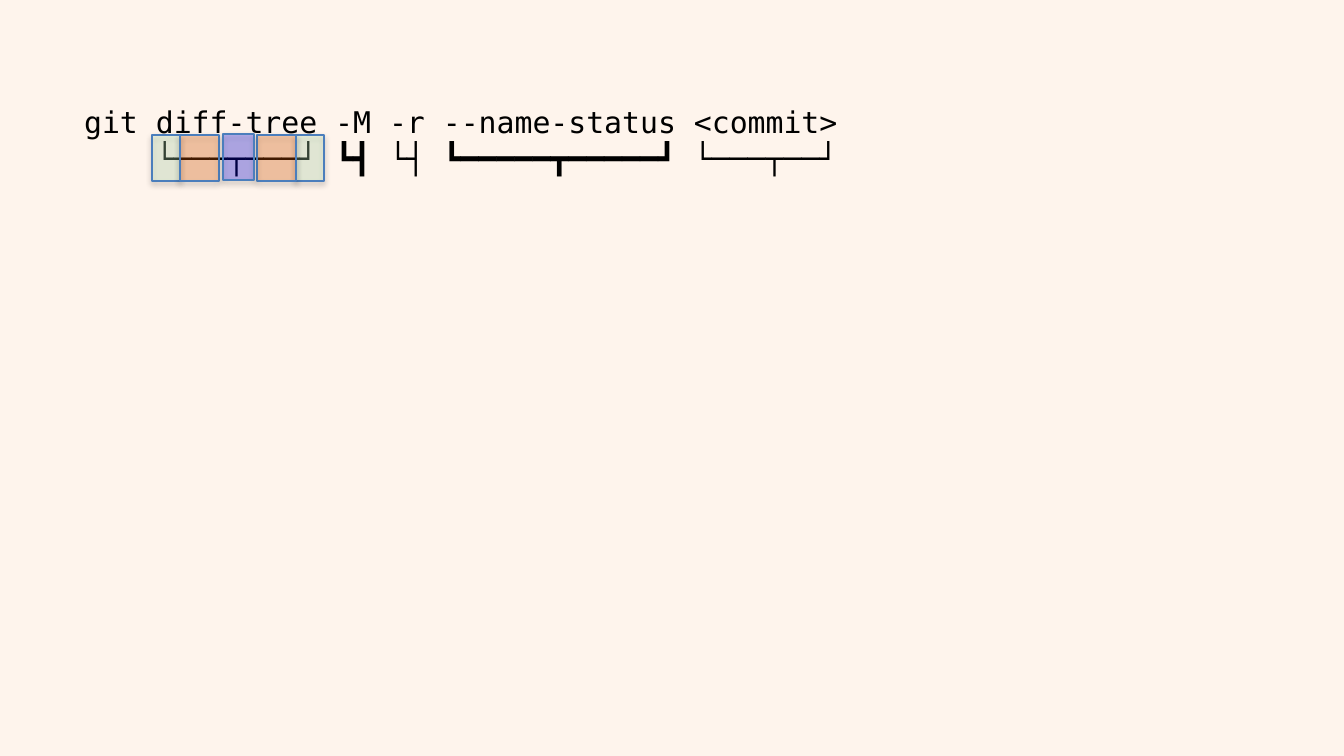
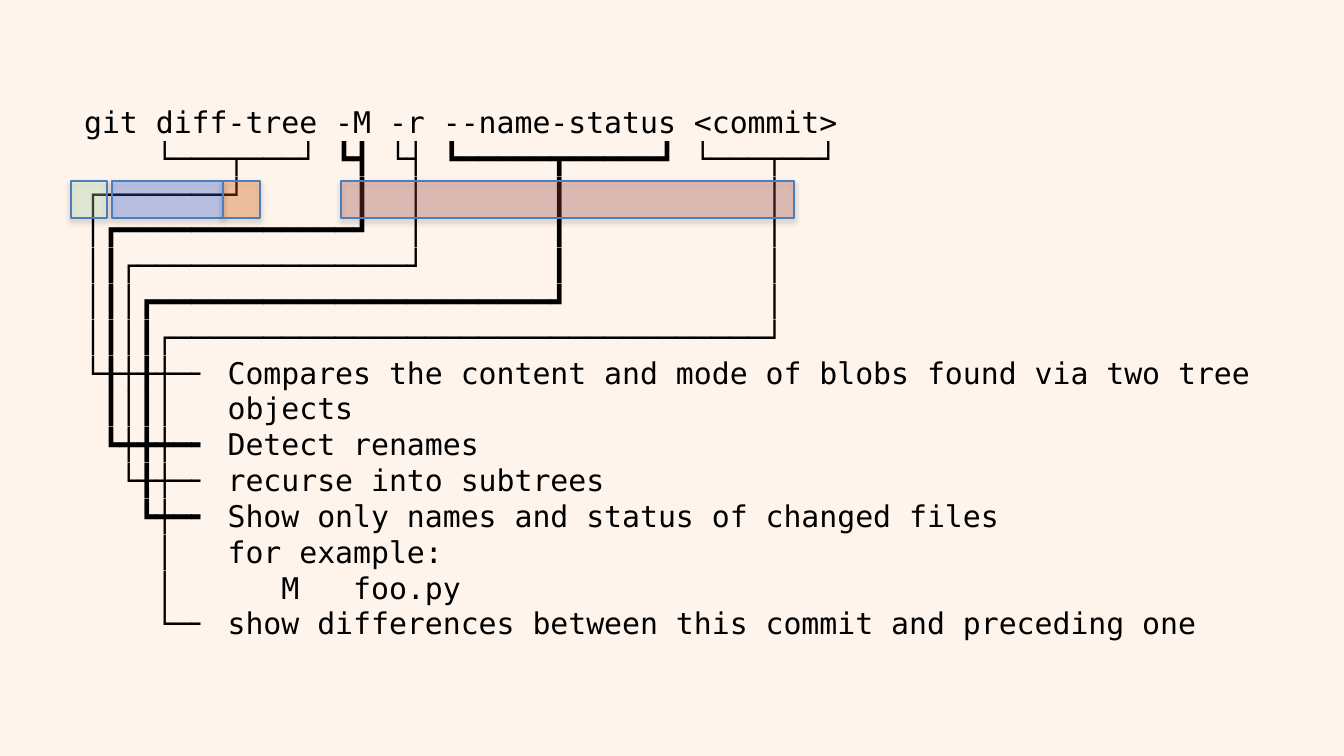
import lxml.etree
import pptx
import pptx.dml.color
import pptx.enum.shapes
import pptx.enum.text
import pptx.oxml.ns
import pptx.util

RGB = pptx.dml.color.RGBColor
CREAM = RGB(0xFE, 0xF4, 0xEC)
BLACK = RGB(0x00, 0x00, 0x00)
EDGE = RGB(0x4B, 0x7E, 0xBC)
GREEN = RGB(0xCC, 0xFF, 0xCC)
ORANGE = RGB(0xFF, 0x66, 0x00)
BLUE = RGB(0x00, 0x00, 0xFF)
SKY = RGB(0x33, 0x66, 0xFF)
RED = RGB(0xC0, 0x50, 0x4D)

FONT = "DejaVu Sans Mono"
SCALE = 9144000 / 1344
LEFT = 71

COMMAND = [
    "git diff-tree -M -r --name-status <commit>",
    "    └───┬───┘ ┗┫ └┤ ┗━━━━━┳━━━━━┛ └───┬──┘",
]
DETAILS = [
    "┌───────┘      ┃  │       ┃           │",
    "│┏━━━━━━━━━━━━━┛  │       ┃           │",
    "│┃┌───────────────┘       ┃           │",
    "│┃│┏━━━━━━━━━━━━━━━━━━━━━━┛           │",
    "│┃│┃┌─────────────────────────────────┘",
    "└╂┼╂┼─╴ Compares the content and mode of blobs found via two tree",
    " ┃│┃│   objects",
    " ┗┿╋┿━╸ Detect renames",
    "  └╂┼─╴ recurse into subtrees",
    "   ┗┿━╸ Show only names and status of changed files",
    "    │   for example:",
    "    │      M   foo.py",
    "    └─╴ show differences between this commit and preceding one",
]
BRACKET = [
    (152, 135, 28, GREEN),
    (296, 135, 28, GREEN),
    (180, 135, 39, ORANGE),
    (257, 135, 39, ORANGE),
    (223, 134, 31, BLUE),
]
BRANCH = [
    (LEFT, 181, 36, GREEN),
    (112, 181, 111, SKY),
    (223, 181, 37, ORANGE),
    (341, 181, 453, RED),
]


def px(count):
    """Turn pixels into EMU."""
    return pptx.util.Emu(round(count * SCALE))


def add_node(parent, tag, **values):
    """Append a drawing element with the given attributes."""
    node = lxml.etree.SubElement(parent, pptx.oxml.ns.qn(tag))
    for name, value in values.items():
        node.set(name, str(value))
    return node


def add_page(deck):
    """Add a blank slide with the cream background."""
    page = deck.slides.add_slide(deck.slide_layouts[6])
    fill = page.background.fill
    fill.solid()
    fill.fore_color.rgb = CREAM
    return page


def add_lines(page, lines, height):
    """Write the command diagram, one paragraph a line."""
    box = page.shapes.add_textbox(px(LEFT), px(97), px(1202), px(height))
    frame = box.text_frame
    frame.word_wrap = True
    frame.auto_size = pptx.enum.text.MSO_AUTO_SIZE.SHAPE_TO_FIT_TEXT
    for index, line in enumerate(lines):
        para = frame.add_paragraph() if index else frame.paragraphs[0]
        run = para.add_run()
        run.text = line
        run.font.name = FONT
        run.font.size = pptx.util.Pt(16)
        run.font.color.rgb = BLACK
        for tag in ("a:ea", "a:cs"):
            add_node(run.font._element, tag, typeface=FONT)


def add_shade(shape):
    """Give a shape its soft shadow below."""
    shape.shadow.inherit = False
    effects = shape._element.spPr.find(pptx.oxml.ns.qn("a:effectLst"))
    shade = add_node(effects, "a:outerShdw", blurRad=40000, dist=23000,
                     dir=5400000, rotWithShape=0)
    color = add_node(shade, "a:srgbClr", val=BLACK)
    add_node(color, "a:alpha", val=35000)


def add_tints(page, tints, height):
    """Lay a row of see-through rectangles over the diagram."""
    for left, top, width, color in tints:
        rect = page.shapes.add_shape(
            pptx.enum.shapes.MSO_SHAPE.RECTANGLE,
            px(left), px(top), px(width), px(height))
        rect.fill.solid()
        rect.fill.fore_color.rgb = color
        tone = rect.fill._xPr.find(".//" + pptx.oxml.ns.qn("a:srgbClr"))
        add_node(tone, "a:alpha", val=26000)
        rect.line.color.rgb = EDGE
        rect.line.width = pptx.util.Pt(0.75)
        add_shade(rect)


def main():
    """Build and save both slides."""
    deck = pptx.Presentation()
    deck.slide_width, deck.slide_height = px(1344), px(756)
    page = add_page(deck)
    add_lines(page, COMMAND, 86)
    add_tints(page, BRACKET, 46)
    page = add_page(deck)
    add_lines(page, COMMAND + DETAILS, 556)
    add_tints(page, BRANCH, 37)
    deck.save("out.pptx")


if __name__ == "__main__":
    main()
